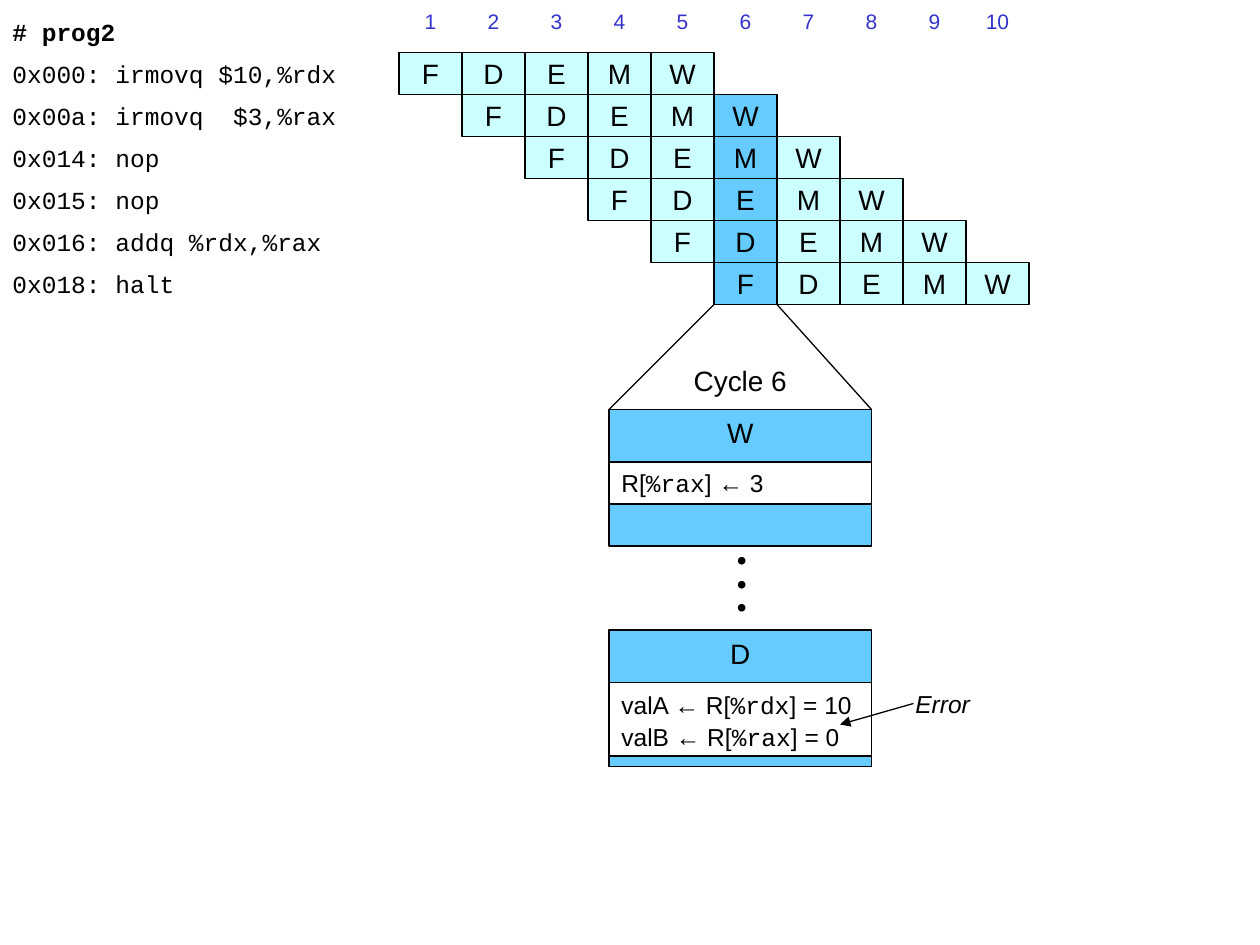
from dataclasses import dataclass

from lxml.etree import SubElement
from pptx import Presentation
from pptx.dml.color import RGBColor
from pptx.enum.shapes import MSO_CONNECTOR, MSO_SHAPE
from pptx.enum.text import MSO_ANCHOR, MSO_AUTO_SIZE, PP_ALIGN
from pptx.oxml.ns import qn
from pptx.util import Pt


@dataclass(frozen=True)
class Theme:
    white: RGBColor = RGBColor(0xFF, 0xFF, 0xFF)
    black: RGBColor = RGBColor(0x00, 0x00, 0x00)
    cycle: RGBColor = RGBColor(0x33, 0x33, 0xCC)
    stage: RGBColor = RGBColor(0xCC, 0xFF, 0xFF)
    highlight: RGBColor = RGBColor(0x66, 0xCC, 0xFF)
    sans: str = "Arial"
    mono: str = "Courier New"
    small: int = 12
    body: int = 14
    label: int = 16
    thin: float = 0.75
    medium: float = 1


class Diagram:
    def __init__(self, slide, theme):
        self.slide = slide
        self.theme = theme

    def fill_text(self, shape, lines, size, color=None, font=None, align=PP_ALIGN.LEFT,
                  anchor=MSO_ANCHOR.MIDDLE, spacing=None, bold=None, italic=None, wrap=False):
        """Each line is a string or a list of (text, font) pairs."""
        frame = shape.text_frame
        frame.word_wrap = wrap
        frame.vertical_anchor = anchor
        for index, line in enumerate(lines):
            paragraph = frame.add_paragraph() if index else frame.paragraphs[0]
            paragraph.alignment = align
            paragraph.line_spacing = spacing
            paragraph.font.size = Pt(size)
            paragraph.font.color.rgb = color or self.theme.black
            paragraph.font.bold = bold
            paragraph.font.italic = italic
            if isinstance(line, str):
                paragraph.font.name = font or self.theme.sans
                paragraph.add_run().text = line
                continue
            for text, run_font in line:
                run = paragraph.add_run()
                run.text = text
                run.font.name = run_font

    def box(self, left, top, width, height, fill, lines, size, line=None, parent=None, **style):
        shapes = (parent or self.slide).shapes
        shape = shapes.add_shape(MSO_SHAPE.RECTANGLE, Pt(left), Pt(top), Pt(width), Pt(height))
        shape.shadow.inherit = False
        shape.fill.solid()
        shape.fill.fore_color.rgb = fill
        if line:
            shape.line.color.rgb = self.theme.black
            shape.line.width = Pt(line)
        else:
            shape.line.fill.background()
        self.fill_text(shape, lines, size, **style)

    def text(self, left, top, width, height, lines, size, parent=None, **style):
        shapes = (parent or self.slide).shapes
        shape = shapes.add_textbox(Pt(left), Pt(top), Pt(width), Pt(height))
        self.fill_text(shape, lines, size, anchor=MSO_ANCHOR.TOP, **style)
        shape.text_frame.auto_size = MSO_AUTO_SIZE.SHAPE_TO_FIT_TEXT

    def line(self, start, end, arrow=False):
        points = [Pt(value) for value in (*start, *end)]
        connector = self.slide.shapes.add_connector(MSO_CONNECTOR.STRAIGHT, *points)
        connector.line.color.rgb = self.theme.black
        connector.line.width = Pt(self.theme.thin)
        properties = connector.element.spPr
        if arrow:
            SubElement(properties.find(qn("a:ln")), qn("a:tailEnd"), type="triangle")
        SubElement(properties, qn("a:effectLst"))

    def group(self):
        return self.slide.shapes.add_group_shape()


CELL_WIDTH, ROW_HEIGHT = 36, 24
GRID_LEFT, GRID_TOP = 228, 30
CODE_WIDTH = 204
DETAIL_LEFT, DETAIL_WIDTH, DETAIL_HEIGHT = 348, 150, 78
WRITE_BACK_TOP, DECODE_TOP = 234, 360
HEADER_HEIGHT = 30
CYCLES, FOCUS_CYCLE = 10, 6
STAGES = "FDEMW"
PROGRAM = [
    "0x000: irmovq $10,%rdx",
    "0x00a: irmovq  $3,%rax",
    "0x014: nop",
    "0x015: nop",
    "0x016: addq %rdx,%rax",
    "0x018: halt",
]


def cycle_left(cycle):
    return GRID_LEFT + (cycle - 1) * CELL_WIDTH


def main():
    theme = Theme()
    presentation = Presentation()
    presentation.slide_width, presentation.slide_height = Pt(720), Pt(540)
    slide = presentation.slides.add_slide(presentation.slide_layouts[6])
    diagram = Diagram(slide, theme)
    center = PP_ALIGN.CENTER

    # Program listing
    for index, code in enumerate(["# prog2", *PROGRAM]):
        diagram.box(0, GRID_TOP + (index - 1) * ROW_HEIGHT, CODE_WIDTH, ROW_HEIGHT, theme.white,
                    [code], theme.body, font=theme.mono, bold=index == 0)

    # Cycle numbers
    for cycle in range(1, CYCLES + 1):
        diagram.box(cycle_left(cycle), 0, CELL_WIDTH, ROW_HEIGHT, theme.white,
                    [str(cycle)], theme.small, color=theme.cycle, align=center)

    # Pipeline stages, each instruction one cycle later than the last
    for row in range(len(PROGRAM)):
        instruction = diagram.group()
        for cycle, stage in enumerate(STAGES, start=row + 1):
            fill = theme.highlight if cycle == FOCUS_CYCLE else theme.stage
            diagram.box(cycle_left(cycle), GRID_TOP + row * ROW_HEIGHT, CELL_WIDTH, ROW_HEIGHT,
                        fill, [stage], theme.label, line=theme.medium, parent=instruction,
                        align=center)

    # Lines opening the focus cycle into its detail
    grid_bottom = GRID_TOP + len(PROGRAM) * ROW_HEIGHT
    focus_left = cycle_left(FOCUS_CYCLE)
    diagram.line((focus_left, grid_bottom), (DETAIL_LEFT, WRITE_BACK_TOP))
    diagram.line((focus_left + CELL_WIDTH, grid_bottom),
                 (DETAIL_LEFT + DETAIL_WIDTH, WRITE_BACK_TOP))

    # Write-back and decode details
    write_back = [[("R[", theme.sans), ("%rax", theme.mono), ("] ← 3", theme.sans)]]
    decode = [
        [(f"{value} ← R[", theme.sans), (register, theme.mono), (f"] = {result}", theme.sans)]
        for value, register, result in (("valA", "%rdx", 10), ("valB", "%rax", 0))
    ]
    detail = diagram.group()
    for stage, top, height, lines, spacing in (
        ("W", WRITE_BACK_TOP, 24, write_back, None),
        ("D", DECODE_TOP, 42, decode, 1.1),
    ):
        diagram.box(DETAIL_LEFT, top, DETAIL_WIDTH, DETAIL_HEIGHT, theme.highlight, [stage],
                    theme.label, line=theme.thin, parent=detail, align=center,
                    anchor=MSO_ANCHOR.TOP)
        diagram.box(DETAIL_LEFT, top + HEADER_HEIGHT, DETAIL_WIDTH, height, theme.white, lines,
                    theme.body, line=theme.medium, parent=detail, spacing=spacing)
    diagram.text(414, 312, 20, 47.5, ["•"] * 3, theme.label, parent=detail, spacing=0.7)

    # Detail title and error callout
    diagram.text(DETAIL_LEFT, 204, DETAIL_WIDTH, 26.5, [f"Cycle {FOCUS_CYCLE}"], theme.label,
                 align=center, wrap=True)
    diagram.line((522, 402), (480, 414), arrow=True)
    diagram.text(516, 390, 45.5, 24, ["Error"], theme.body, italic=True)

    presentation.save("out.pptx")


if __name__ == "__main__":
    main()
